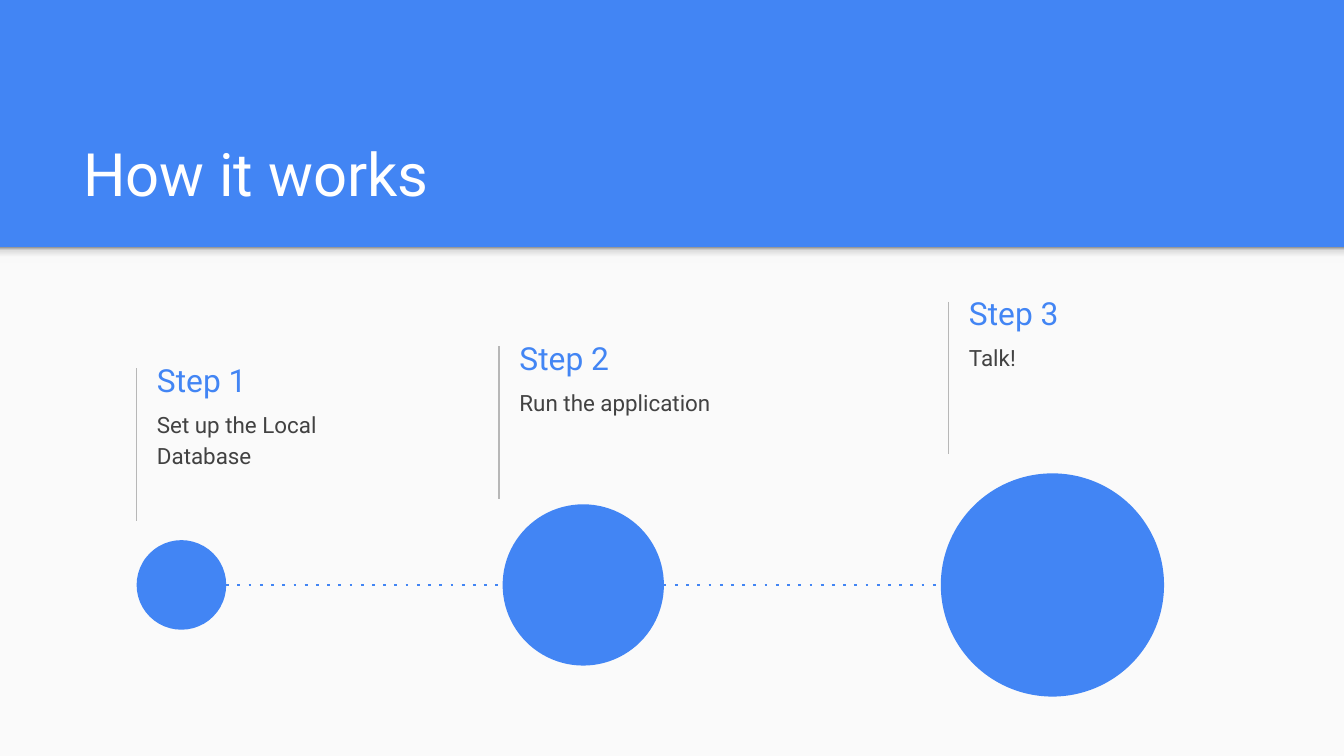
from lxml.etree import SubElement
from pptx import Presentation
from pptx.dml.color import RGBColor
from pptx.enum.dml import MSO_LINE
from pptx.enum.shapes import MSO_CONNECTOR, MSO_SHAPE
from pptx.enum.text import MSO_ANCHOR
from pptx.oxml.ns import qn
from pptx.util import Pt

WIDTH, HEIGHT = 720, 405
BAND_BOTTOM = 132.5
TIMELINE_Y = 313.4
RULE_HEIGHT = 81.6
BLUE, WHITE, PAPER, GREY, INK = "4285F4", "FFFFFF", "FAFAFA", "B7B7B7", "424242"

# Heading, description, rule left, rule top, circle left, circle diameter
STEPS = [
    ("Step 1", "Set up the Local Database", 73.2, 197.4, 73.2, 48),
    ("Step 2", "Run the application", 267.4, 185.6, 269.3, 86.4),
    ("Step 3", "Talk!", 508.2, 161.8, 504, 119.6),
]


def color(hex_string):
    return RGBColor.from_string(hex_string)


def add_filled(page, kind, left, top, width, height, fill):
    shape = page.shapes.add_shape(kind, Pt(left), Pt(top), Pt(width), Pt(height))
    shape.shadow.inherit = False
    shape.fill.solid()
    shape.fill.fore_color.rgb = color(fill)
    shape.line.fill.background()
    return shape


def fill_gradient(shape, stops, angle):
    shape.fill.gradient()
    gradient = shape._element.spPr.find(qn("a:gradFill"))
    stop_list = gradient.find(qn("a:gsLst"))
    for old_stop in list(stop_list):
        stop_list.remove(old_stop)
    for percent, value in stops:
        stop = SubElement(stop_list, qn("a:gs"), pos=str(percent * 1000))
        SubElement(stop, qn("a:srgbClr"), val=value)
    shape.fill.gradient_angle = angle


def add_line(page, start, end, stroke, width, dotted=False):
    line = page.shapes.add_connector(
        MSO_CONNECTOR.STRAIGHT, *(Pt(value) for value in (*start, *end)))
    line.line.color.rgb = color(stroke)
    line.line.width = Pt(width)
    properties = line._element.spPr
    if dotted:
        line.line.dash_style = MSO_LINE.ROUND_DOT
        properties.find(".//" + qn("a:prstDash")).set("val", "dot")
    SubElement(properties, qn("a:effectLst"))


def add_text(page, text, left, top, width, height, size, ink, anchor):
    box = page.shapes.add_textbox(Pt(left), Pt(top), Pt(width), Pt(height))
    frame = box.text_frame
    frame.word_wrap = True
    frame.vertical_anchor = anchor
    frame.margin_left = frame.margin_right = Pt(7.2)
    frame.margin_top = frame.margin_bottom = Pt(7.2)
    frame.text = text
    para = frame.paragraphs[0]
    span = para.runs[0]
    span.font.name = "Roboto"
    span.font.size = Pt(size)
    span.font.color.rgb = color(ink)
    return para


def add_step(page, heading, description, left, top):
    add_line(page, (left, top), (left, top + RULE_HEIGHT), GREY, 0.75)
    add_text(page, heading, left + 3.8, top - 9.6, 142.6, 31, 17, BLUE,
             MSO_ANCHOR.MIDDLE)
    para = add_text(page, description, left + 3.8, top + 13.4, 142.6, 45.4, 12,
                    INK, MSO_ANCHOR.TOP)
    para.line_spacing = 1.15
    para.space_after = Pt(16)


def main():
    deck = Presentation()
    deck.slide_width, deck.slide_height = Pt(WIDTH), Pt(HEIGHT)
    page = deck.slides.add_slide(deck.slide_layouts[6])

    # Blue header above a light panel with a soft shadow
    page.background.fill.solid()
    page.background.fill.fore_color.rgb = color(BLUE)
    add_filled(page, MSO_SHAPE.RECTANGLE, 0, BAND_BOTTOM, WIDTH,
               HEIGHT - BAND_BOTTOM, PAPER)
    shade = add_filled(page, MSO_SHAPE.RECTANGLE, 0, BAND_BOTTOM, WIDTH, 8.6, PAPER)
    fill_gradient(shade, [(0, "F9F9F9"), (36, "F9F9F9"), (80, "DEDEDE"),
                          (100, "999999")], 90)
    add_text(page, "How it works", 37.4, 58.3, 647.3, 60.5, 32, WHITE,
             MSO_ANCHOR.BOTTOM)

    # Step captions
    for heading, description, left, top, *_ in STEPS:
        add_step(page, heading, description, left, top)

    # Timeline with growing circles
    first_left, first_size = STEPS[0][4:]
    last_left = STEPS[-1][4]
    add_line(page, (first_left + first_size, TIMELINE_Y), (last_left, TIMELINE_Y),
             BLUE, 1.5, dotted=True)
    for *_, left, size in STEPS:
        add_filled(page, MSO_SHAPE.OVAL, left, TIMELINE_Y - size / 2, size, size, BLUE)

    deck.save("out.pptx")


if __name__ == "__main__":
    main()
